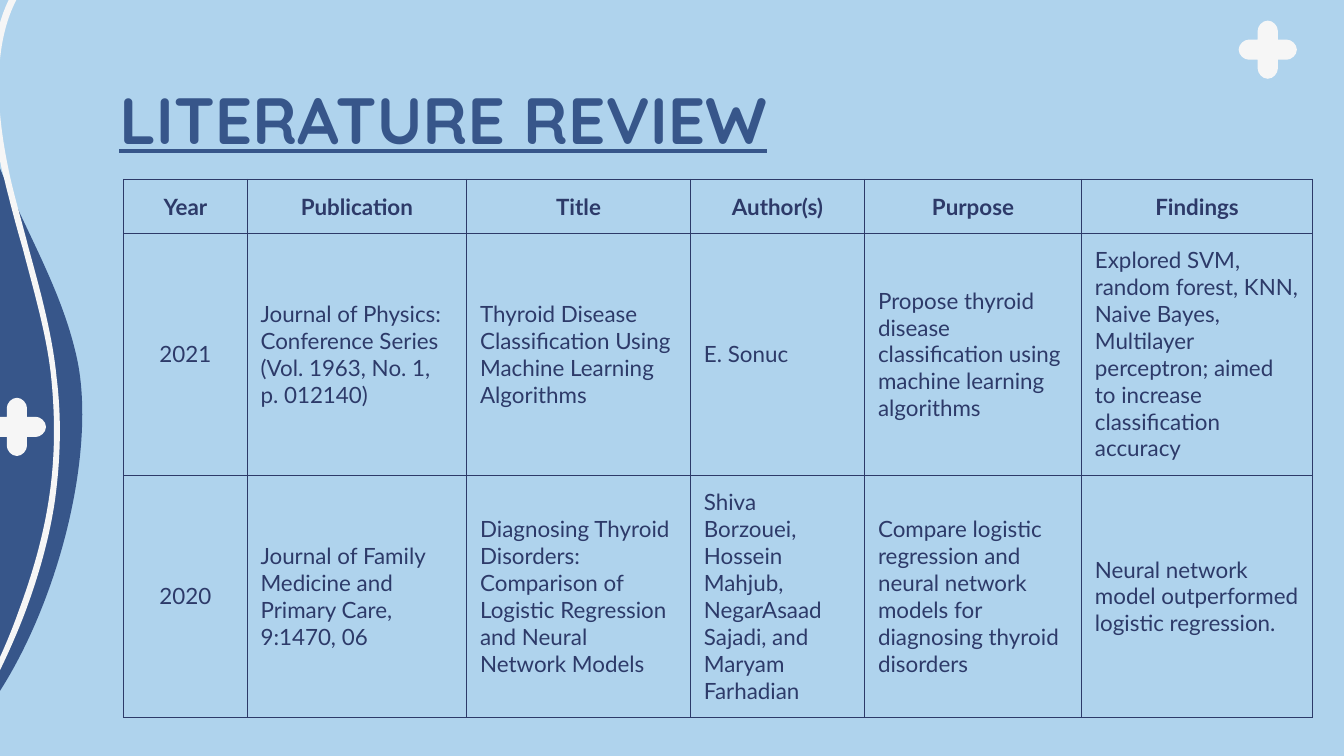
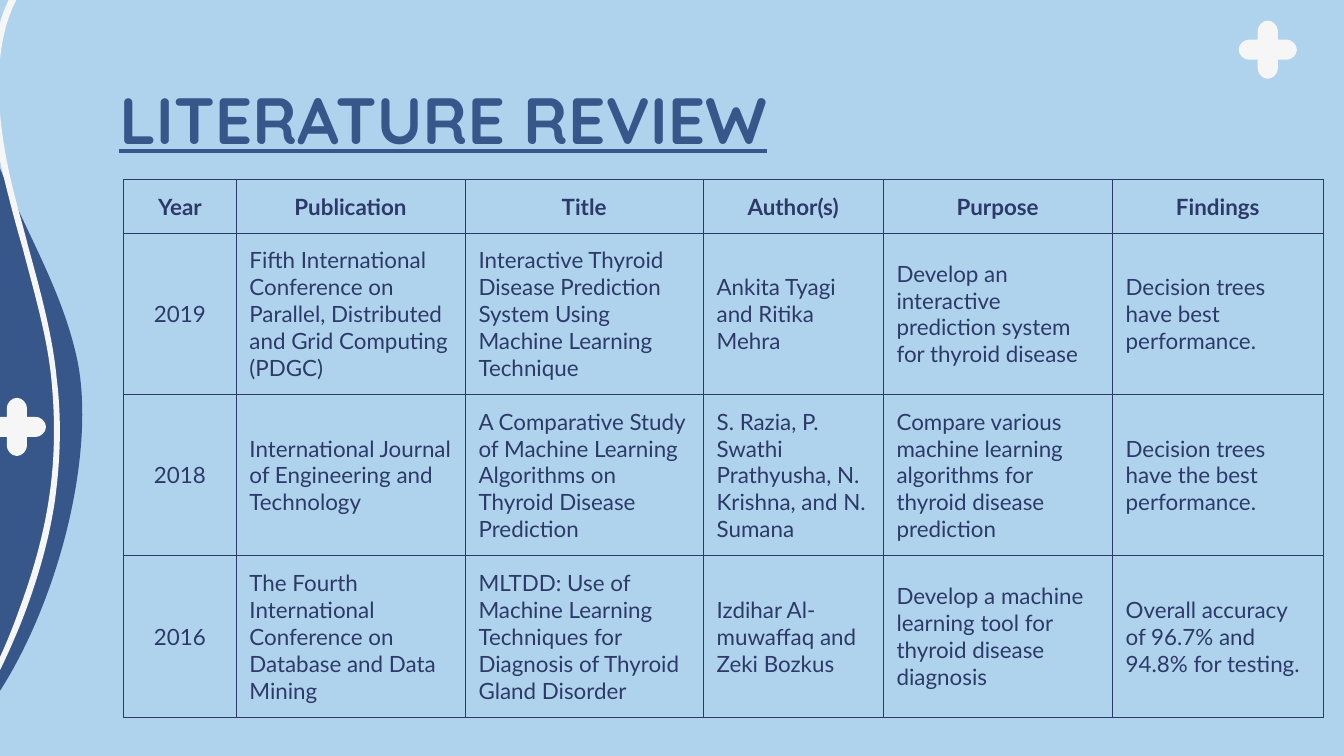
from lxml import etree
from pptx import Presentation
from pptx.dml.color import RGBColor
from pptx.enum.shapes import MSO_SHAPE
from pptx.enum.text import MSO_ANCHOR, MSO_AUTO_SIZE, PP_ALIGN
from pptx.oxml.ns import qn
from pptx.util import Cm, Pt

RECT = MSO_SHAPE.RECTANGLE
TOP, MIDDLE, BOTTOM = MSO_ANCHOR.TOP, MSO_ANCHOR.MIDDLE, MSO_ANCHOR.BOTTOM
LEFT, CENTER = PP_ALIGN.LEFT, PP_ALIGN.CENTER
NO_AUTOFIT = MSO_AUTO_SIZE.NONE

COLORS = {"sky": "AFD3ED", "navy": "37568A", "ink": "2D3A69", "white": "F6F6F6"}
TITLE_FONT, BODY_FONT = "Quicksand", "Lato"

# All lengths in cm
SLIDE_W, SLIDE_H = 25.4, 14.29
PANEL_LEFT = 21.92
TABLE_LEFT, TABLE_TOP = 2.34, 3.39
HEADER_H, BODY_H = 1.0, 9.15
PLUS_RADIUS, PLUS_HALF_ARM = 0.55, 0.19

# Outlines: a pair is a line to a point, six numbers are a Bézier curve
BLOB = [
    (1.42, 6.63),
    (1.04, 5.05, 0.03, 3.68, -0.36, 2.11),
    (-0.86, 0.03, -0.23, -2.13, 0.38, -4.19),
    (-5.74, -4.19), (-5.74, 14.15), (-0.89, 14.15),
    (0.81, 12.6, 1.96, 8.71, 1.42, 6.63),
]
WAVE = [
    (0.48, -0.48),
    (0.13, -0.08, -0.08, 0.48, -0.13, 1.19),
    (-0.18, 1.75, -0.13, 2.44, 0.03, 3.18),
    (0.15, 3.68, 0.28, 4.19, 0.43, 4.7),
    (0.64, 5.51, 0.89, 6.35, 0.97, 7.16),
    (1.12, 8.69, 0.94, 9.96, 0.36, 11.53),
    (-0.1, 12.83, -0.79, 14.0, -1.47, 14.66),
    (-1.37, 14.73),
    (-1.37, 14.73, -1.35, 14.71, -1.35, 14.71),
    (-0.99, 14.33, -0.64, 13.84, -0.3, 13.26),
    (-0.03, 12.75, 0.25, 12.17, 0.48, 11.56),
    (0.76, 10.8, 0.94, 10.13, 1.04, 9.45),
    (1.14, 8.71, 1.17, 7.95, 1.07, 7.14),
    (0.99, 6.32, 0.76, 5.49, 0.53, 4.65),
    (0.41, 4.17, 0.25, 3.66, 0.15, 3.15),
    (-0.08, 2.03, -0.2, 0.51, 0.58, -0.41),
    (0.48, -0.48),
]

HEADERS = ["Year", "Publication", "Title", "Author(s)", "Purpose", "Findings"]
REVIEWS = [
    {
        "panel_top": 2.46,
        "widths": [2.33, 4.15, 4.23, 3.29, 4.1, 4.37],
        "rows": [
            ["2021",
             "Journal of Physics: Conference Series (Vol. 1963, No. 1, p. 012140)",
             "Thyroid Disease Classification Using Machine Learning Algorithms",
             "E. Sonuc",
             "Propose thyroid disease classification using machine learning algorithms",
             "Explored SVM, random forest, KNN, Naive Bayes, Multilayer perceptron; "
             "aimed to increase classification accuracy"],
            ["2020",
             "Journal of Family Medicine and Primary Care, 9:1470, 06",
             "Diagnosing Thyroid Disorders: Comparison of Logistic Regression "
             "and Neural Network Models",
             "Shiva Borzouei, Hossein Mahjub, NegarAsaad Sajadi, and Maryam Farhadian",
             "Compare logistic regression and neural network models for "
             "diagnosing thyroid disorders",
             "Neural network model outperformed logistic regression."],
        ],
    },
    {
        "panel_top": 2.24,
        "widths": [2.12, 4.33, 4.5, 3.4, 4.33, 3.99],
        "rows": [
            ["2019",
             "Fifth International Conference on Parallel, Distributed and "
             "Grid Computing (PDGC)",
             "Interactive Thyroid Disease Prediction System Using Machine "
             "Learning Technique",
             "Ankita Tyagi and Ritika Mehra",
             "Develop an interactive prediction system for thyroid disease",
             "Decision trees have best performance."],
            ["2018",
             "International Journal of Engineering and Technology",
             "A Comparative Study of Machine Learning Algorithms on Thyroid "
             "Disease Prediction",
             "S. Razia, P. Swathi Prathyusha, N. Krishna, and N. Sumana",
             "Compare various machine learning algorithms for thyroid disease "
             "prediction",
             "Decision trees have the best performance."],
            ["2016",
             "The Fourth International Conference on Database and Data Mining",
             "MLTDD: Use of Machine Learning Techniques for Diagnosis of "
             "Thyroid Gland Disorder",
             "Izdihar Al-muwaffaq and Zeki Bozkus",
             "Develop a machine learning tool for thyroid disease diagnosis",
             "Overall accuracy of 96.7% and 94.8% for testing."],
        ],
    },
]


def rgb(name):
    return RGBColor.from_string(COLORS[name])


def paint(sp, color):
    sp.fill.solid()
    sp.fill.fore_color.rgb = rgb(color)
    sp.line.fill.background()
    sp.shadow.inherit = False


def format_text(p, font, size, color, bold, align):
    p.alignment = align
    for r in p.runs:
        r.font.name = font
        r.font.size = Pt(size)
        r.font.bold = bold
        r.font.color.rgb = rgb(color)


# Outlines
def plus_outline(cx, cy):
    """Four quarters, each a quarter turn from the last."""
    r, h = PLUS_RADIUS, PLUS_HALF_ARM
    k = 0.55 * h
    quarter = [
        [(k, -r), (h, k - r), (h, h - r)],
        [(h, -h)],
        [(r - h, -h)],
        [(r - k, -h), (r, -k), (r, 0)],
    ]
    outline = [(cx, cy - r)]
    for _ in range(4):
        for part in quarter:
            outline.append(tuple(v for x, y in part for v in (cx + x, cy + y)))
        quarter = [[(-y, x) for x, y in part] for part in quarter]
    return outline


def add_outline(slide, outline, color):
    """Build a freeform through all points, then join curve points in threes."""
    points = [(Cm(part[i]), Cm(part[i + 1]))
              for part in outline for i in range(0, len(part), 2)]
    builder = slide.shapes.build_freeform(*points[0])
    builder.add_line_segments(points[1:], close=True)
    sp = builder.convert_to_shape()
    lines = iter(list(sp.element.iter(qn("a:lnTo"))))
    for part in outline[1:]:
        line = next(lines)
        if len(part) == 6:
            curve = etree.Element(qn("a:cubicBezTo"))
            line.addprevious(curve)
            for step in (line, next(lines), next(lines)):
                curve.append(step[0])
                step.getparent().remove(step)
    paint(sp, color)
    return sp


# Shared layout
def decorate_layout(layout, slide):
    """Draw the band and the plus signs, then hand them to the layout."""
    layout.background.fill.solid()
    layout.background.fill.fore_color.rgb = rgb("sky")
    for ph in list(layout.placeholders):
        if ph.placeholder_format.idx >= 10:
            ph.element.getparent().remove(ph.element)
    for outline, color in (
        (plus_outline(23.96, 0.94), "white"),
        (BLOB, "navy"),
        (plus_outline(0.32, 8.07), "white"),
        (WAVE, "white"),
    ):
        layout.shapes.element.append(add_outline(slide, outline, color).element)


# Slide parts
def add_panel(slide, top):
    sp = slide.shapes.add_shape(RECT, Cm(PANEL_LEFT), Cm(top),
                                Cm(SLIDE_W - PANEL_LEFT), Cm(SLIDE_H - top))
    paint(sp, "sky")


def set_title(slide, text):
    title = slide.shapes.title
    title.left, title.top, title.width, title.height = Cm(2.0), Cm(1.24), Cm(21.41), Cm(1.6)
    tf = title.text_frame
    tf.text = text
    tf.word_wrap = True
    tf.auto_size = NO_AUTOFIT
    tf.vertical_anchor = TOP
    tf.margin_top = tf.margin_bottom = tf.margin_left
    p = tf.paragraphs[0]
    format_text(p, TITLE_FONT, 35, "navy", True, LEFT)
    p.runs[0].font.underline = True


def set_borders(cell):
    tc_pr = cell._tc.get_or_add_tcPr()
    for i, side in enumerate(("a:lnL", "a:lnR", "a:lnT", "a:lnB")):
        ln = etree.Element(qn(side), w=str(Pt(0.6)))
        fill = etree.SubElement(ln, qn("a:solidFill"))
        etree.SubElement(fill, qn("a:srgbClr"), val=COLORS["ink"])
        tc_pr.insert(i, ln)


def fill_cell(cell, text, is_header, align):
    cell.text = text
    cell.vertical_anchor = BOTTOM if is_header else MIDDLE
    cell.margin_top = cell.margin_bottom = cell.margin_left
    cell.fill.background()
    set_borders(cell)
    format_text(cell.text_frame.paragraphs[0], BODY_FONT, 12, "ink", is_header, align)


def add_review_table(slide, widths, rows):
    frame = slide.shapes.add_table(len(rows) + 1, len(widths), Cm(TABLE_LEFT), Cm(TABLE_TOP),
                                   Cm(sum(widths)), Cm(HEADER_H + BODY_H))
    table = frame.table
    table.first_row = table.horz_banding = False
    for column, width in zip(table.columns, widths):
        column.width = Cm(width)
    for i, values in enumerate([HEADERS] + rows):
        table.rows[i].height = Cm(BODY_H / len(rows) if i else HEADER_H)
        for j, text in enumerate(values):
            align = CENTER if i == 0 or j == 0 else LEFT
            fill_cell(table.cell(i, j), text, i == 0, align)


def main():
    prs = Presentation()
    prs.slide_width, prs.slide_height = Cm(SLIDE_W), Cm(SLIDE_H)
    layout = prs.slide_layouts.get_by_name("Title Only")
    slides = [prs.slides.add_slide(layout) for _ in REVIEWS]
    decorate_layout(layout, slides[0])
    for slide, review in zip(slides, REVIEWS):
        add_panel(slide, review["panel_top"])
        set_title(slide, "LITERATURE REVIEW")
        add_review_table(slide, review["widths"], review["rows"])
    prs.save("out.pptx")


if __name__ == "__main__":
    main()
